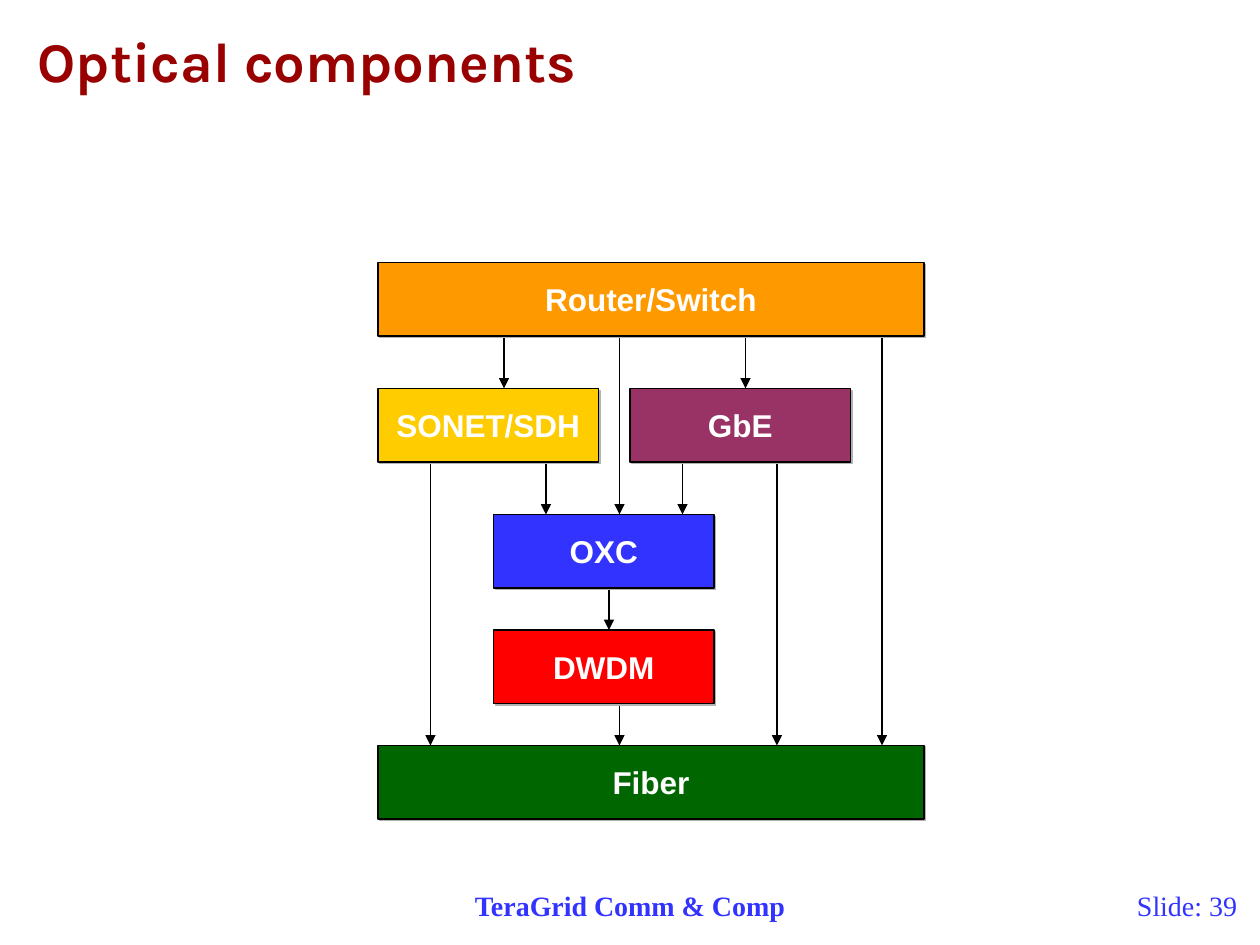
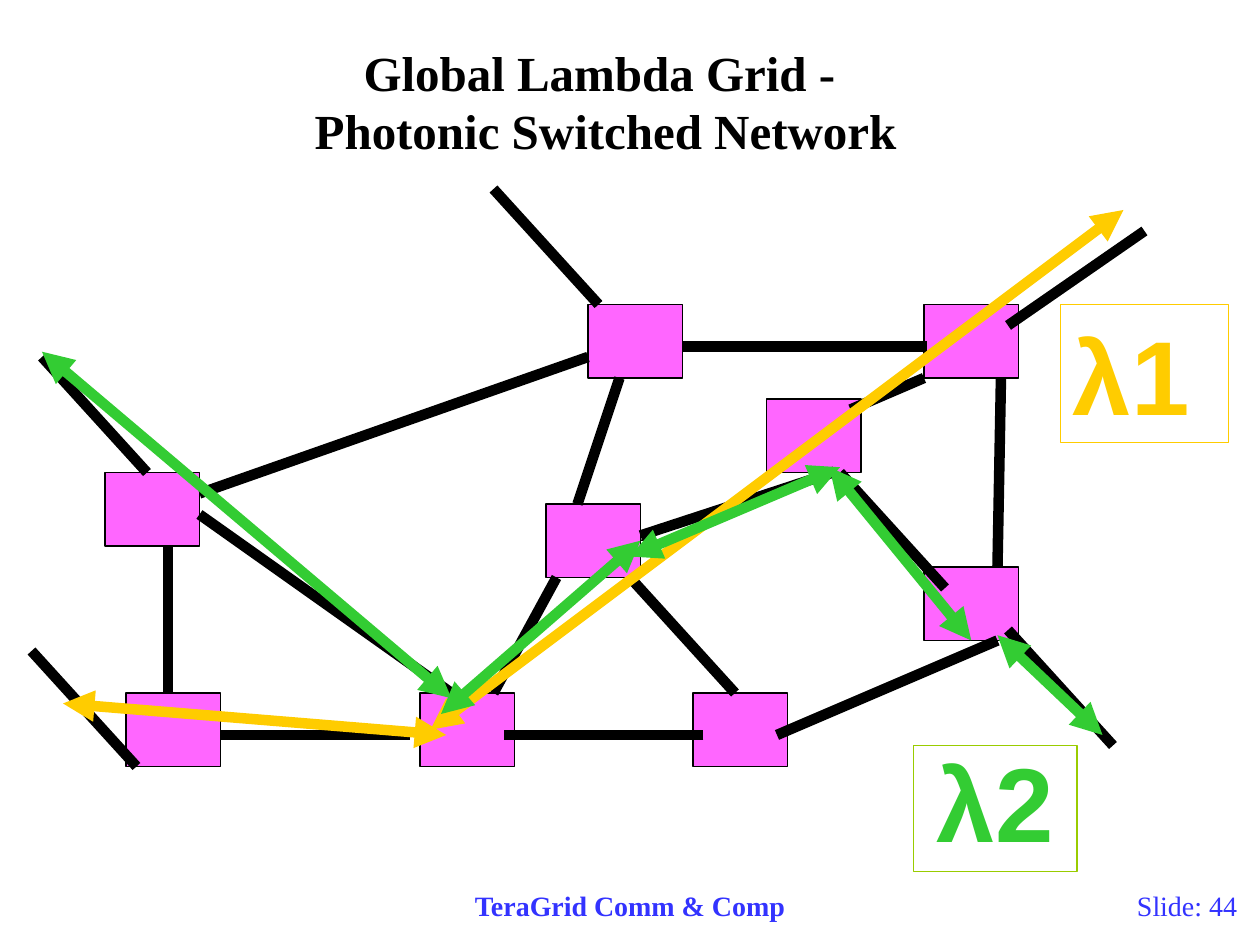
from lxml import etree
from pptx import Presentation
from pptx.dml.color import RGBColor
from pptx.enum.shapes import MSO_CONNECTOR, MSO_SHAPE
from pptx.enum.text import MSO_ANCHOR, MSO_AUTO_SIZE, PP_ALIGN
from pptx.oxml.ns import qn
from pptx.util import Pt

LEFT, CENTER, RIGHT = PP_ALIGN.LEFT, PP_ALIGN.CENTER, PP_ALIGN.RIGHT
TOP, MIDDLE = MSO_ANCHOR.TOP, MSO_ANCHOR.MIDDLE
RECTANGLE = MSO_SHAPE.RECTANGLE
STRAIGHT = MSO_CONNECTOR.STRAIGHT
NO_AUTOFIT = MSO_AUTO_SIZE.NONE
TITLE_ONLY = 5

BLACK = RGBColor(0x00, 0x00, 0x00)
WHITE = RGBColor(0xFF, 0xFF, 0xFF)
DARK_RED = RGBColor(0x99, 0x00, 0x00)
BLUE = RGBColor(0x33, 0x33, 0xFF)
ORANGE = RGBColor(0xFF, 0x99, 0x00)
GOLD = RGBColor(0xFF, 0xCC, 0x00)
PLUM = RGBColor(0x99, 0x33, 0x66)
RED = RGBColor(0xFF, 0x00, 0x00)
DARK_GREEN = RGBColor(0x00, 0x66, 0x00)
PINK = RGBColor(0xFF, 0x66, 0xFF)
GREEN = RGBColor(0x33, 0xCC, 0x33)
OLIVE = RGBColor(0x99, 0xCC, 0x00)
SHADOW = RGBColor(0xB2, 0xB2, 0xB2)

SERIF, SANS, DISPLAY = "Times New Roman", "Arial", "Karla"
THIN, THICK = 0.75, 6
LAYER_HEIGHT = 42
NODE_WIDTH, NODE_HEIGHT = 54, 42

# Text, left, top, width, colour
LAYERS = [
    ("Router/Switch", 216, 150, 312, ORANGE),
    ("SONET/SDH", 216, 222, 126, GOLD),
    ("GbE", 360, 222, 126, PLUM),
    ("OXC", 282, 294, 126, BLUE),
    ("DWDM", 282, 360, 126, RED),
    ("Fiber", 216, 426, 312, DARK_GREEN),
]
# x, start y, end y
LAYER_ARROWS = [
    (288, 192, 222), (354, 192, 294), (426, 192, 222), (504, 192, 426),
    (246, 264, 426), (312, 264, 294), (390, 264, 294), (444, 264, 426),
    (348, 336, 360), (354, 402, 426),
]

NODES = [(312, 288), (240, 396), (60, 270), (396, 396), (72, 396),
         (336, 174), (528, 324), (528, 174), (438, 228)]
# Start x, start y, end x, end y
FIBERS = [
    (336, 204, 114, 282), (530, 198, 390, 198), (570, 366, 444, 420),
    (476, 270, 366, 306), (234, 420, 126, 420), (402, 420, 288, 420),
    (420, 396, 360, 330), (96, 312, 96, 396), (572, 216, 570, 324),
    (528, 216, 486, 234), (540, 336, 480, 270), (330, 288, 354, 216),
    (318, 330, 282, 396), (342, 174, 282, 108), (258, 396, 114, 294),
    (84, 270, 24, 204), (78, 438, 18, 372), (636, 426, 576, 360),
    (654, 132, 576, 186),
]
LAMBDA_1_HOPS = [(642, 120, 246, 417), (255, 420, 36, 402)]
LAMBDA_2_HOPS = [
    (630, 420, 570, 363), (258, 399, 24, 201), (366, 309, 252, 408),
    (480, 267, 360, 318), (555, 366, 474, 267),
]
SWITCH_ARROW = (476, 267, 366, 309)


def write_text(shape, lines, font, size, color, bold=True, align=LEFT,
               anchor=TOP, margins=(7.2, 3.6), wrap=True, spacing=None):
    frame = shape.text_frame
    frame.word_wrap = wrap
    frame.auto_size = NO_AUTOFIT
    frame.vertical_anchor = anchor
    frame.margin_left = frame.margin_right = Pt(margins[0])
    frame.margin_top = frame.margin_bottom = Pt(margins[1])
    for index, line in enumerate(lines):
        paragraph = frame.add_paragraph() if index else frame.paragraphs[0]
        paragraph.alignment = align
        if spacing:
            paragraph.line_spacing = spacing
        run = paragraph.add_run()
        run.text = line
        run.font.name = font
        run.font.size = Pt(size)
        run.font.bold = bold
        run.font.color.rgb = color


def place(shape, left, top, width, height):
    shape.left, shape.top = Pt(left), Pt(top)
    shape.width, shape.height = Pt(width), Pt(height)


def add_footer(slide, number):
    event = slide.shapes.add_textbox(Pt(246), Pt(504), Pt(228), Pt(24))
    write_text(event, ["TeraGrid Comm & Comp"], SERIF, 16, BLUE, align=CENTER)
    page = slide.shapes.add_textbox(Pt(594), Pt(504), Pt(120), Pt(24))
    write_text(page, [f"Slide: {number}"], SERIF, 16, BLUE, bold=False,
               align=RIGHT)


def add_titled_slide(deck, number, lines, bounds, font, size, color, **style):
    slide = deck.slides.add_slide(deck.slide_layouts[TITLE_ONLY])
    title = slide.shapes.title
    place(title, *bounds)
    write_text(title, lines, font, size, color, margins=(3.6, 0), **style)
    add_footer(slide, number)
    return slide


def add_box(slide, left, top, width, height, fill=None, outline=BLACK):
    box = slide.shapes.add_shape(RECTANGLE, Pt(left), Pt(top), Pt(width),
                                 Pt(height))
    box.shadow.inherit = False
    if fill is None:
        box.fill.background()
    else:
        box.fill.solid()
        box.fill.fore_color.rgb = fill
    box.line.color.rgb = outline
    box.line.width = Pt(THIN)
    return box


def add_drop_shadow(box):
    effects = box._element.spPr.find(qn("a:effectLst"))
    shadow = etree.SubElement(effects, qn("a:outerShdw"), dist=str(Pt(1.4)),
                              dir="2700000", algn="ctr", rotWithShape="0")
    etree.SubElement(shadow, qn("a:srgbClr"), val=str(SHADOW))


def add_line(slide, ends, color=BLACK, width=THIN, arrows=()):
    """Draw a straight line; arrows holds "headEnd" and/or "tailEnd"."""
    line = slide.shapes.add_connector(STRAIGHT, *map(Pt, ends))
    line.line.color.rgb = color
    line.line.width = Pt(width)
    outline = line.line._get_or_add_ln()
    for end in arrows:
        etree.SubElement(outline, qn(f"a:{end}"), type="triangle")
    etree.SubElement(line._element.spPr, qn("a:effectLst"))
    return line


def add_node(slide, left, top):
    """Draw a switch and return its side midpoints with their joining sites."""
    node = add_box(slide, left, top, NODE_WIDTH, NODE_HEIGHT, PINK)
    middle_x, middle_y = left + NODE_WIDTH / 2, top + NODE_HEIGHT / 2
    midpoints = [(middle_x, top), (left, middle_y),
                 (middle_x, top + NODE_HEIGHT), (left + NODE_WIDTH, middle_y)]
    return {point: (node, site) for site, point in enumerate(midpoints)}


def add_hop(slide, ends, sites, **style):
    """Draw a line and join it to any switch whose side midpoint it meets."""
    hop = add_line(slide, ends, **style)
    if ends[:2] in sites:
        hop.begin_connect(*sites[ends[:2]])
    if ends[2:] in sites:
        hop.end_connect(*sites[ends[2:]])


def build_components(deck):
    slide = add_titled_slide(deck, 39, ["Optical components"],
                             (18, 19.5, 672, 34.5), DISPLAY, 32, DARK_RED,
                             spacing=0.9)
    for x, start, end in LAYER_ARROWS:
        add_line(slide, (x, start, x, end), arrows=["tailEnd"])
    for text, left, top, width, color in LAYERS:
        layer = add_box(slide, left, top, width, LAYER_HEIGHT, color)
        add_drop_shadow(layer)
        write_text(layer, [text], SANS, 18, WHITE, align=CENTER,
                   anchor=MIDDLE, wrap=False)


def build_lambda_grid(deck):
    slide = add_titled_slide(
        deck, 44, ["Global Lambda Grid - ", "Photonic Switched Network"],
        (30, 24, 632, 67), SERIF, 28, BLACK, align=CENTER)
    sites = {}
    for left, top in NODES:
        sites.update(add_node(slide, left, top))
    for ends in FIBERS:
        add_hop(slide, ends, sites, width=THICK)
    add_hop(slide, SWITCH_ARROW, sites, arrows=["tailEnd"])
    for hops, color in ((LAMBDA_1_HOPS, GOLD), (LAMBDA_2_HOPS, GREEN)):
        for ends in hops:
            add_hop(slide, ends, sites, color=color, width=THICK,
                    arrows=["headEnd", "tailEnd"])
    lambda_1 = add_box(slide, 606, 174, 96, 79, outline=GOLD)
    write_text(lambda_1, ["λ1"], SANS, 60, GOLD)
    lambda_2 = add_box(slide, 522, 426, 93.5, 72, outline=OLIVE)
    write_text(lambda_2, ["λ2"], SANS, 60, GREEN, align=CENTER,
               anchor=MIDDLE, spacing=0.9)


def main():
    deck = Presentation()
    deck.slide_width, deck.slide_height = Pt(720), Pt(540)
    build_components(deck)
    build_lambda_grid(deck)
    deck.save("out.pptx")


if __name__ == "__main__":
    main()
